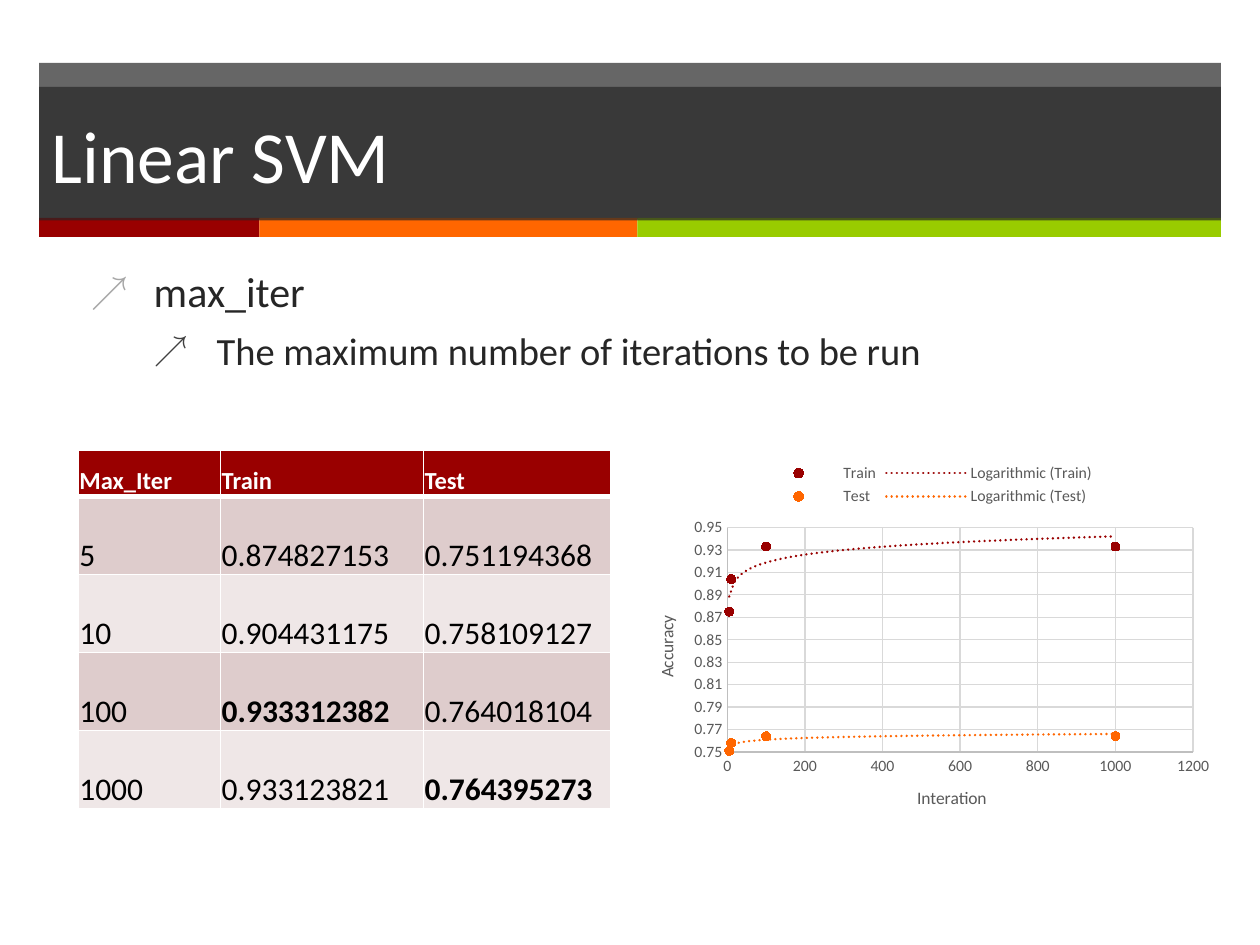
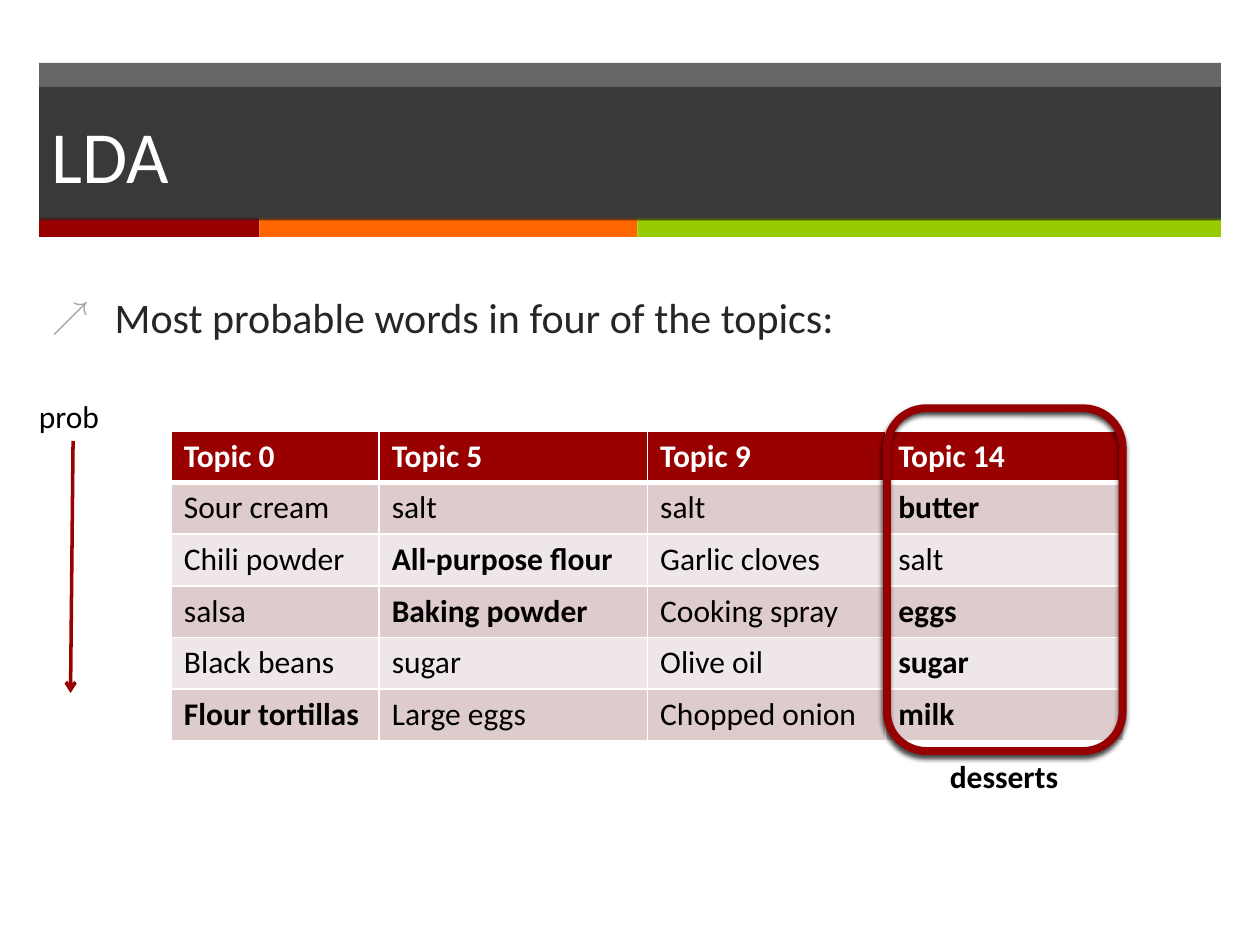
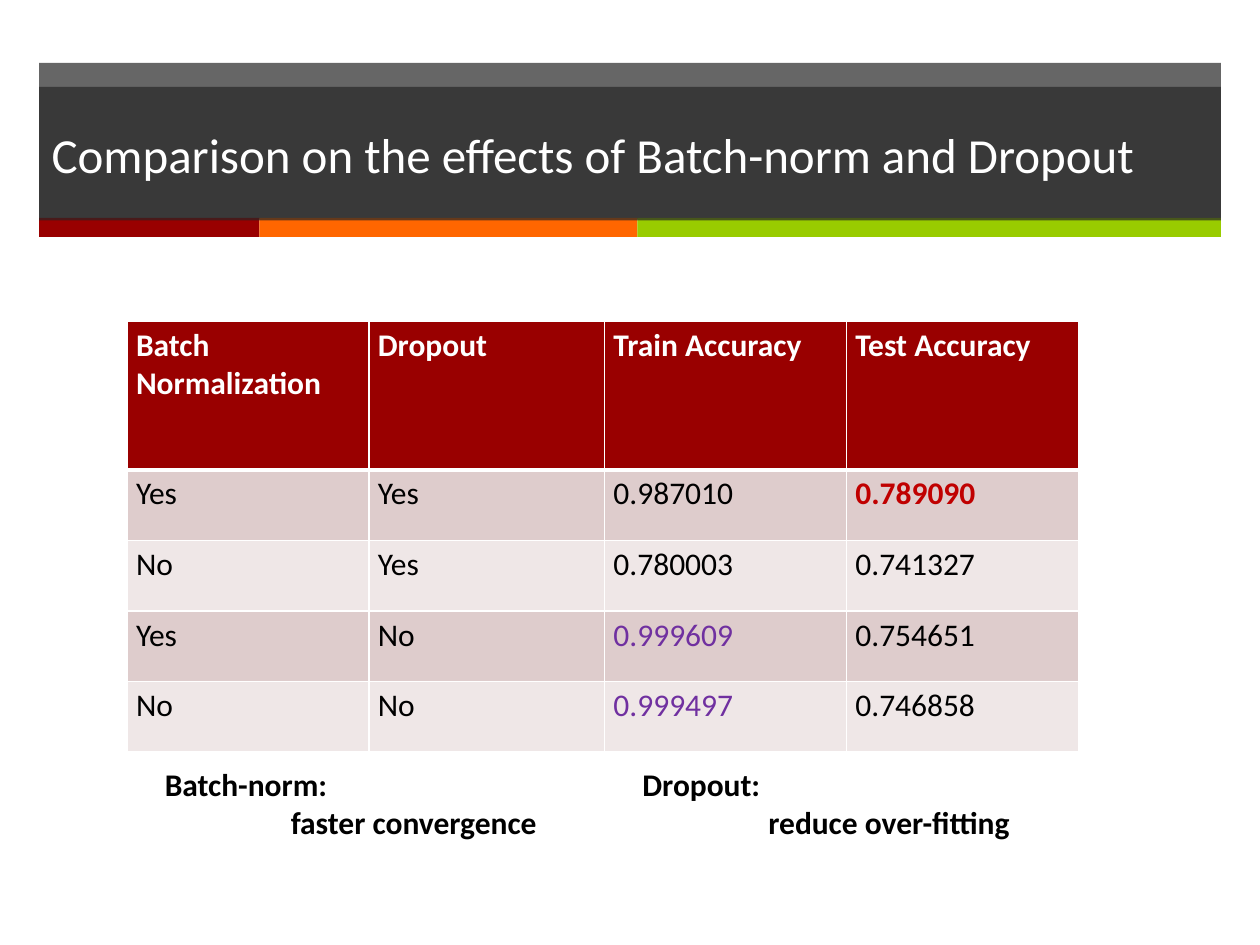
from dataclasses import dataclass, field
from typing import NamedTuple

from lxml.etree import SubElement
from pptx import Presentation
from pptx.chart.data import XyChartData
from pptx.dml.color import RGBColor as Rgb
from pptx.enum.chart import XL_CHART_TYPE as Kind, XL_LEGEND_POSITION as Spot
from pptx.enum.chart import XL_MARKER_STYLE as Mark, XL_TICK_MARK as Tick
from pptx.enum.shapes import MSO_CONNECTOR as Link, MSO_SHAPE as Form
from pptx.enum.text import MSO_ANCHOR as Anchor, MSO_AUTO_SIZE as Auto, PP_ALIGN as Align
from pptx.oxml.ns import qn
from pptx.util import Emu, Pt

PX = 9144  # 100 px to the inch
FONT = "Calibri"
COLORS = {
    "white": "FFFFFF", "black": "000000", "ink": "262626", "red": "990000",
    "orange": "FF6600", "green": "99CC00", "ring": "960000", "best": "C00000",
    "violet": "7030A0", "dark": "DECCCC", "light": "EFE7E7", "label": "595959",
    "axis": "BFBFBF", "grid": "D9D9D9", "arrow1": "A6A6A6", "arrow2": "404040",
}


class Box(NamedTuple):
    x: int
    y: int
    w: int
    h: int


class Bar(NamedTuple):
    box: Box
    color: str
    alpha: int = 100


class Item(NamedTuple):
    text: str
    level: int
    size: int
    gap: int
    color: str


@dataclass
class Grid:
    x: int
    y: int
    cols: list[int]
    rows: list[int]
    cells: list[list[str]]
    marks: dict = field(default_factory=dict)
    pad: tuple = (10, 5, 10, 5)
    anchor: Anchor = Anchor.TOP
    head: int = 18


BARS = [
    Bar(Box(31, 50, 938, 124), "ink", 70),
    Bar(Box(31, 173, 175, 15), "red"),
    Bar(Box(206, 173, 300, 15), "orange"),
    Bar(Box(506, 173, 463, 15), "green"),
]
TITLE = Bar(Box(31, 69, 938, 106), "ink", 70)


# Helpers
def px(*nums: int) -> list:
    return [Emu(n * PX) for n in nums]


def rgb(name: str) -> Rgb:
    return Rgb.from_string(COLORS[name])


def sub(node, tag: str, **attrs):
    return SubElement(node, qn(tag), {k: str(v) for k, v in attrs.items()})


def tint(node, color: str):
    return sub(sub(node, "a:solidFill"), "a:srgbClr", val=COLORS[color])


def stroke(line, color: str, width: float) -> None:
    line.color.rgb = rgb(color)
    line.width = Pt(width)


def style(font, size: int, color: str = "black", bold: bool = False) -> None:
    font.name, font.size, font.bold = FONT, Pt(size), bold
    font.color.rgb = rgb(color)


def write(par, text: str, *, size: int = 18, color: str = "black", bold: bool = False,
          left: int = 0, first: int = 0) -> None:
    run = par.add_run()
    run.text = text
    style(run.font, size, color, bold)
    if left:
        props = par._p.get_or_add_pPr()
        props.set("marL", str(left * PX))
        props.set("indent", str(first * PX))


def place(shape, box: Box) -> None:
    shape.left, shape.top, shape.width, shape.height = px(*box)


def paint(shape, color: str, alpha: int) -> None:
    shape.fill.solid()
    shape.fill.fore_color.rgb = rgb(color)
    if alpha < 100:
        sub(shape.element.spPr.xpath("./a:solidFill/a:srgbClr")[0], "a:alpha", val=alpha * 1000)


# Shared parts
def dress(deck, slide) -> None:
    """Build the header bars and move them to the back of the master."""
    tree = deck.slide_master.shapes.element
    for n, bar in enumerate(BARS):
        shape = slide.shapes.add_shape(Form.RECTANGLE, *px(*bar.box))
        shape.shadow.inherit = False
        shape.line.fill.background()
        paint(shape, bar.color, bar.alpha)
        shape.element.nvSpPr.cNvPr.set("id", str(100 + n))
        tree.insert(2 + n, shape.element)


def start(deck, layout: int, text: str, size: int = 42):
    slide = deck.slides.add_slide(deck.slide_layouts[layout])
    title = slide.shapes.title
    place(title, TITLE.box)
    paint(title, TITLE.color, TITLE.alpha)
    frame = title.text_frame
    frame.auto_size, frame.vertical_anchor = Auto.NONE, Anchor.MIDDLE
    par = frame.paragraphs[0]
    par.alignment = Align.LEFT
    write(par, text, size=size, color="white")
    return slide


def bullets(slide, box: Box, items: list[Item]) -> None:
    body = slide.placeholders[1]
    place(body, box)
    frame = body.text_frame
    frame.auto_size = Auto.NONE
    for n, item in enumerate(items):
        par = frame.add_paragraph() if n else frame.paragraphs[0]
        par.level, par.space_before = item.level, Pt(item.gap)
        write(par, item.text, size=item.size, color="ink",
              left=50 * (item.level + 1), first=-50)
        props = par._p.get_or_add_pPr()
        sub(sub(props, "a:buClr"), "a:srgbClr", val=COLORS[item.color])
        sub(props, "a:buSzPct", val=90000)
        sub(props, "a:buChar", char="↗")


def label(slide, box: Box, *lines: str, bold: bool = True) -> None:
    frame = slide.shapes.add_textbox(*px(*box)).text_frame
    frame.word_wrap = True
    for n, line in enumerate(lines):
        par = frame.add_paragraph() if n else frame.paragraphs[0]
        write(par, line, bold=bold, left=100 * n)


def edges(cell, row: int) -> None:
    props = cell._tc.get_or_add_tcPr()
    wide = {"a:lnT": row == 1, "a:lnB": row == 0}
    for tag in ("a:lnL", "a:lnR", "a:lnT", "a:lnB"):
        tint(sub(props, tag, w=Pt(3 if wide.get(tag) else 1)), "white")


def table(slide, grid: Grid) -> None:
    box = Box(grid.x, grid.y, sum(grid.cols), sum(grid.rows))
    tab = slide.shapes.add_table(len(grid.rows), len(grid.cols), *px(*box)).table
    for col, width in zip(tab.columns, px(*grid.cols)):
        col.width = width
    for row, height in zip(tab.rows, px(*grid.rows)):
        row.height = height
    for r, line in enumerate(grid.cells):
        for c, text in enumerate(line):
            cell = tab.cell(r, c)
            edges(cell, r)
            cell.fill.solid()
            cell.fill.fore_color.rgb = rgb("red" if r == 0 else "dark" if r % 2 else "light")
            (cell.margin_left, cell.margin_top,
             cell.margin_right, cell.margin_bottom) = px(*grid.pad)
            cell.vertical_anchor = grid.anchor
            look = {"size": grid.head, "color": "white", "bold": True} if r == 0 else {}
            write(cell.text_frame.paragraphs[0], text, **(look or grid.marks.get((r, c), {})))


# Accuracy chart
def trend(spot, color: str) -> None:
    curve = sub(spot.getparent(), "c:trendline")
    line = sub(sub(curve, "c:spPr"), "a:ln", w=Pt(1.5), cap="rnd")
    tint(line, color)
    sub(line, "a:prstDash", val="sysDot")
    sub(curve, "c:trendlineType", val="log")
    sub(curve, "c:dispRSqr", val=0)
    sub(curve, "c:dispEq", val=0)
    spot.addprevious(curve)


def scatter(slide, box: Box, steps: list[int], data: dict) -> None:
    points = XyChartData()
    for name, (vals, _) in data.items():
        series = points.add_series(name)
        for x, y in zip(steps, vals):
            series.add_data_point(x, y)
    chart = slide.shapes.add_chart(Kind.XY_SCATTER, *px(*box), points).chart
    style(chart.font, 10)
    chart.has_title = False
    chart.has_legend = True
    chart.legend.position, chart.legend.include_in_layout = Spot.TOP, False
    style(chart.legend.font, 9, "label")
    plot = chart.plots[0]
    plot.vary_by_categories = False
    spots = chart.element.xpath(".//c:ser/c:xVal")
    for series, spot, (_, color) in zip(plot.series, spots, data.values()):
        series.format.line.fill.background()
        mark = series.marker
        mark.style, mark.size = Mark.CIRCLE, 5
        mark.format.fill.solid()
        mark.format.fill.fore_color.rgb = rgb(color)
        stroke(mark.format.line, color, 0.75)
        trend(spot, color)
    for axis, name, low, high, step, turn in (
            (chart.category_axis, "Interation", 0, 1200, 200, 0),
            (chart.value_axis, "Accuracy", 0.75, 0.95, 0.02, -90)):
        axis.minimum_scale, axis.maximum_scale, axis.major_unit = low, high, step
        axis.major_tick_mark = axis.minor_tick_mark = Tick.NONE
        axis.tick_labels.number_format = "General"
        axis.tick_labels.number_format_is_linked = False
        style(axis.tick_labels.font, 9, "label")
        stroke(axis.format.line, "axis", 0.75)
        axis.has_major_gridlines = True
        stroke(axis.major_gridlines.format.line, "grid", 0.75)
        write(axis.axis_title.text_frame.paragraphs[0], name, size=10, color="label")
        axis.axis_title.element.xpath(".//a:bodyPr")[0].set("rot", str(turn * 60000))


# Slides
def svm(deck) -> None:
    slide = start(deck, 1, "Linear SVM")
    dress(deck, slide)
    bullets(slide, Box(62, 206, 774, 437), [
        Item("max_iter", 0, 24, 20, "arrow1"),
        Item("The maximum number of iterations to be run", 1, 22, 6, "arrow2"),
    ])
    scatter(slide, Box(500, 357, 469, 305), [5, 10, 100, 1000], {
        "Train": ([0.875, 0.904, 0.933, 0.933], "red"),
        "Test": ([0.751, 0.758, 0.764, 0.764], "orange"),
    })
    table(slide, Grid(62, 357, [113, 161, 149], [37] + [62] * 4, [
        ["Max_Iter", "Train", "Test"],
        ["5", "0.874827153", "0.751194368"],
        ["10", "0.904431175", "0.758109127"],
        ["100", "0.933312382", "0.764018104"],
        ["1000", "0.933123821", "0.764395273"],
    ], {(3, 1): {"bold": True}, (4, 2): {"bold": True}},
        pad=(1, 1, 1, 0), anchor=Anchor.BOTTOM, head=14))


def lda(deck) -> None:
    slide = start(deck, 1, "LDA")
    bullets(slide, Box(31, 226, 900, 55), [
        Item("Most probable words in four of the topics:", 0, 24, 20, "arrow1"),
    ])
    strong = [(1, 3), (2, 1), (3, 1), (3, 3), (4, 3), (5, 0), (5, 3)]
    table(slide, Grid(136, 342, [165, 213, 189, 189], [41] * 6, [
        ["Topic 0", "Topic 5", "Topic 9", "Topic 14"],
        ["Sour cream", "salt", "salt", "butter"],
        ["Chili powder", "All-purpose flour", "Garlic cloves", "salt"],
        ["salsa", "Baking powder", "Cooking spray", "eggs"],
        ["Black beans", "sugar", "Olive oil", "sugar"],
        ["Flour tortillas", "Large eggs", "Chopped onion", "milk"],
    ], {spot: {"bold": True} for spot in strong}))

    # Falling probability
    arrow = slide.shapes.add_connector(Link.STRAIGHT, *px(58, 350, 56, 550))
    stroke(arrow.line, "red", 2)
    sub(arrow.line._get_or_add_ln(), "a:tailEnd", type="arrow")
    sub(arrow.element.spPr, "a:effectLst")
    label(slide, Box(21, 310, 131, 40), "prob", bold=False)

    # Ring around the dessert topic
    ring = slide.shapes.add_shape(Form.ROUNDED_RECTANGLE, *px(704, 324, 187, 272))
    ring.fill.background()
    stroke(ring.line, "ring", 4.5)
    glow = sub(sub(ring.element.spPr, "a:effectLst"), "a:outerShdw", blurRad=Pt(3),
               dist=Pt(2), dir=110 * 60000, rotWithShape=0)
    sub(sub(glow, "a:srgbClr", val=COLORS["black"]), "a:alpha", val=75000)
    label(slide, Box(744, 596, 120, 40), "desserts")


def norm(deck) -> None:
    slide = start(deck, 5, "Comparison on the effects of Batch-norm and Dropout", 28)
    table(slide, Grid(101, 255, [192, 187, 192, 184], [118] + [56] * 4, [
        ["Batch Normalization", "Dropout", "Train Accuracy", "Test Accuracy"],
        ["Yes", "Yes", "0.987010", "0.789090"],
        ["No", "Yes", "0.780003", "0.741327"],
        ["Yes", "No", "0.999609", "0.754651"],
        ["No", "No", "0.999497", "0.746858"],
    ], {(1, 3): {"color": "best", "bold": True},
        (3, 2): {"color": "violet"}, (4, 2): {"color": "violet"}}, pad=(7, 4, 7, 4)))
    label(slide, Box(121, 602, 330, 71), "Batch-norm:", "faster convergence")
    label(slide, Box(500, 602, 330, 71), "Dropout:", "reduce over-fitting")


def main() -> None:
    deck = Presentation()
    deck.slide_width, deck.slide_height = px(1000, 750)
    for build in (svm, lda, norm):
        build(deck)
    deck.save("out.pptx")


if __name__ == "__main__":
    main()
